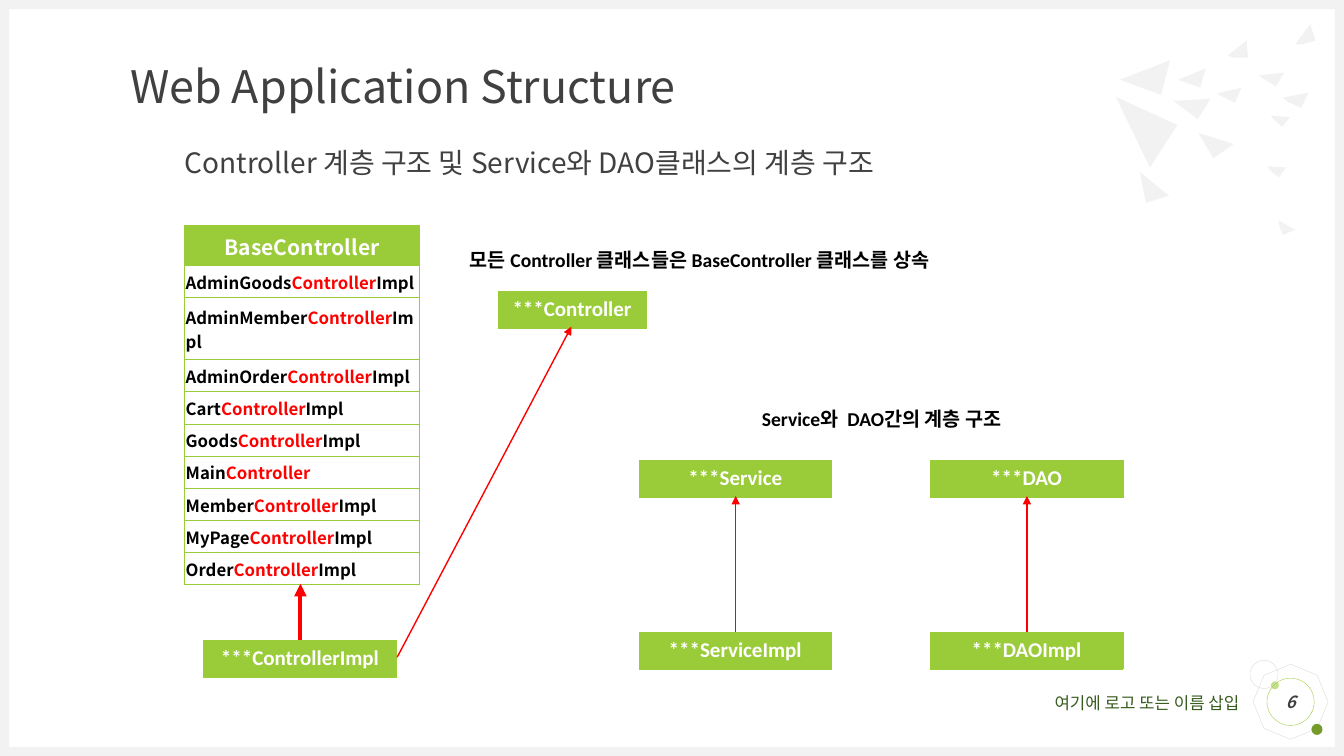
"""Build the slide on the controller, service and DAO class hierarchies."""
from dataclasses import dataclass

from lxml import etree
from pptx import Presentation
from pptx.dml.color import RGBColor
from pptx.enum.shapes import MSO_CONNECTOR, MSO_SHAPE
from pptx.enum.text import MSO_ANCHOR, MSO_AUTO_SIZE, PP_ALIGN
from pptx.oxml.ns import qn
from pptx.shapes.autoshape import Shape
from pptx.slide import Slide
from pptx.table import Table, _Cell
from pptx.text.text import Font
from pptx.util import Cm, Pt

STRAIGHT = MSO_CONNECTOR.STRAIGHT
RECTANGLE, OVAL, OCTAGON = MSO_SHAPE.RECTANGLE, MSO_SHAPE.OVAL, MSO_SHAPE.OCTAGON
TOP, MIDDLE = MSO_ANCHOR.TOP, MSO_ANCHOR.MIDDLE
LEFT, CENTER, RIGHT = PP_ALIGN.LEFT, PP_ALIGN.CENTER, PP_ALIGN.RIGHT
NO_AUTOFIT = MSO_AUTO_SIZE.NONE

COLORS = {
    "green": "9ACB39", "light_green": "C2E088", "dark_green": "749A29",
    "footer": "375C1E", "gray": "F2F2F2", "outline": "D9D9D9",
    "heading": "404040", "black": "000000", "white": "FFFFFF", "red": "FF0000",
}
SANS, LATIN = "Noto Sans CJK KR", "Calibri"
WIDTH, HEIGHT, EDGE = 33.87, 19.05, 0.23
BOX_HEIGHT = 0.93
HEADER_HEIGHT, ROW_HEIGHT, WRAPPED_HEIGHT = 0.99, 0.81, 1.57


@dataclass(frozen=True)
class Caption:
    text: str
    box: tuple[float, float, float, float]
    size: float
    color: str
    font: str = SANS
    bold: bool = False
    align: PP_ALIGN = LEFT
    anchor: MSO_ANCHOR = TOP
    spacing: float = 1.0


@dataclass(frozen=True)
class Ornament:
    kind: MSO_SHAPE
    box: tuple[float, float, float, float]
    fill: str = ""
    line: str = ""
    rotation: float = 0


@dataclass(frozen=True)
class ClassBox:
    label: str
    left: float
    top: float
    width: float = 4.86


@dataclass(frozen=True)
class Arrow:
    start: tuple[float, float]
    end: tuple[float, float]
    weight: float = 1


SUBTITLE = Caption("Controller 계층 구조 및 Service와 DAO클래스의 계층 구조",
                   (4.65, 3.56, 26.11, 1.17), 20, "heading", anchor=MIDDLE, spacing=0.9)
CAPTIONS = [
    Caption("여기에 로고 또는 이름 삽입", (24.26, 17.45, 6.98, 0.51), 12, "footer", align=RIGHT),
    Caption("모든 Controller 클래스들은 BaseController 클래스를 상속",
            (11.84, 6.25, 12.93, 0.71), 14, "black", LATIN, True),
    Caption("Service와  DAO간의 계층 구조", (19.2, 10.26, 9.45, 1.14), 14, "black", LATIN, True),
    Caption("Web Application Structure", (3.28, 1.63, 19, 1.22), 32, "heading",
            anchor=MIDDLE, spacing=0.9),
]
PAGE_NUMBER = Caption("6", (31.93, 17.09, 1.19, 1.19), 12, "heading", bold=True,
                      align=CENTER, anchor=MIDDLE)
PAGE_RING = Ornament(OVAL, PAGE_NUMBER.box, line="green")
ORNAMENTS = [
    Ornament(OCTAGON, (31.65, 16.81, 1.75, 1.75), line="outline", rotation=22.7),
    Ornament(OVAL, (32.03, 17.17, 0.2, 0.2), fill="light_green"),
    Ornament(OVAL, (33.05, 18.24, 0.28, 0.28), fill="dark_green"),
    Ornament(OVAL, (31.5, 16.64, 0.71, 0.71), line="outline"),
    Ornament(RECTANGLE, (0, HEIGHT - EDGE, WIDTH, EDGE), fill="gray"),
    Ornament(RECTANGLE, (0, 0, WIDTH, EDGE), fill="gray"),
    Ornament(RECTANGLE, (0, 0, EDGE, HEIGHT), fill="gray"),
    Ornament(RECTANGLE, (WIDTH - EDGE, 0, EDGE, HEIGHT), fill="gray"),
]
SHARDS = [
    [(29.49, 1.52), (29.26, 2.39), (28.22, 2.01)],
    [(30.51, 2.49), (30.18, 3), (29.57, 2.54)],
    [(30.38, 1.73), (30.25, 2.21), (29.69, 2.01)],
    [(31.29, 2.21), (31.12, 2.59), (30.66, 2.36)],
    [(31.42, 1.02), (31.45, 1.45), (31.09, 1.45), (30.94, 1.4)],
    [(32.51, 2.95), (32.31, 3.2), (32.11, 3.02), (32.03, 2.92)],
    [(33.02, 0.61), (33.15, 1.02), (32.82, 1.12), (32.64, 1.12)],
    [(32.36, 1.83), (32.16, 2.18), (31.72, 1.9)],
    [(32.97, 2.34), (32.79, 2.72), (32.46, 2.57), (32.33, 2.46)],
    [(29.67, 3.15), (28.98, 4.22), (28.12, 2.44)],
    [(31.09, 3.63), (30.58, 3.99), (30.2, 3.35)],
    [(32.41, 4.22), (32.23, 4.47), (32, 4.29), (31.95, 4.19)],
    [(29.46, 4.93), (28.88, 5.11), (28.73, 4.34)],
    [(32.64, 5.79), (32.33, 5.92), (32.23, 5.66), (32.23, 5.56)],
]
CONTROLLERS = [
    ("AdminGoods", "Impl"), ("AdminMember", "Impl"), ("AdminOrder", "Impl"),
    ("Cart", "Impl"), ("Goods", "Impl"), ("Main", ""), ("Member", "Impl"),
    ("MyPage", "Impl"), ("Order", "Impl"),
]
CLASS_BOXES = [
    ClassBox("***ControllerImpl", 5.13, 16.13),
    ClassBox("***Controller", 12.55, 7.34, 3.73),
    ClassBox("***ServiceImpl", 16.1, 15.93),
    ClassBox("***DAOImpl", 23.44, 15.93),
    ClassBox("***DAO", 23.44, 11.61),
    ClassBox("***Service", 16.1, 11.61),
]
ARROWS = [
    Arrow((10.01, 16.56), (14.4, 8.23)),
    Arrow((7.57, 16.13), (7.57, 14.71), 3),
    Arrow((18.54, 15.93), (18.54, 12.5)),
    Arrow((25.88, 15.93), (25.88, 12.5)),
]


def rgb(name: str) -> RGBColor:
    """Look up a named colour."""
    return RGBColor.from_string(COLORS[name])


def set_font(font: Font, name: str, size: float, color: str, bold: bool) -> None:
    """Format a font."""
    font.name, font.size, font.bold = name, Pt(size), bold
    font.color.rgb = rgb(color)


def write_caption(holder: Shape, caption: Caption) -> None:
    """Place the caption text in a shape and format it."""
    frame = holder.text_frame
    frame.text = caption.text
    frame.word_wrap, frame.auto_size = True, NO_AUTOFIT
    frame.vertical_anchor = caption.anchor
    frame.margin_left = frame.margin_right = frame.margin_top = frame.margin_bottom = 0
    paragraph = frame.paragraphs[0]
    paragraph.alignment, paragraph.line_spacing = caption.align, caption.spacing
    set_font(paragraph.font, caption.font, caption.size, caption.color, caption.bold)


def paint(shape: Shape, fill: str, line: str) -> None:
    """Give a shape its fill and outline, or none."""
    shape.shadow.inherit = False
    if fill:
        shape.fill.solid()
        shape.fill.fore_color.rgb = rgb(fill)
    else:
        shape.fill.background()
    if line:
        shape.line.color.rgb, shape.line.width = rgb(line), Pt(0.25)
    else:
        shape.line.fill.background()


def draw_ornament(slide: Slide, ornament: Ornament) -> Shape:
    """Draw a preset shape."""
    shape = slide.shapes.add_shape(ornament.kind, *map(Cm, ornament.box))
    shape.rotation = ornament.rotation
    paint(shape, ornament.fill, ornament.line)
    return shape


def draw_shard(slide: Slide, points: list[tuple[float, float]]) -> None:
    """Draw one gray shard."""
    first, *rest = [(Cm(x), Cm(y)) for x, y in points]
    builder = slide.shapes.build_freeform(*first)
    builder.add_line_segments(rest, close=True)
    paint(builder.convert_to_shape(), "gray", "")


def style_cell(cell: _Cell, fill: str) -> None:
    """Give a cell green borders and a fill."""
    properties = cell._tc.get_or_add_tcPr()
    for side in ("a:lnL", "a:lnR", "a:lnT", "a:lnB"):
        border = etree.SubElement(properties, qn(side), w=str(Pt(0.5)))
        solid = etree.SubElement(border, qn("a:solidFill"))
        etree.SubElement(solid, qn("a:srgbClr"), val=COLORS["green"])
    cell.fill.solid()
    cell.fill.fore_color.rgb = rgb(fill)


def add_column(slide: Slide, left: float, top: float, width: float, heights: list[float]) -> Table:
    """Add a table of one column."""
    table = slide.shapes.add_table(
        len(heights), 1, Cm(left), Cm(top), Cm(width), Cm(sum(heights))).table
    for row, height in zip(table.rows, heights):
        row.height = Cm(height)
    return table


def write_header(cell: _Cell, label: str, font: str) -> None:
    """Write a white label on a green cell."""
    style_cell(cell, "green")
    cell.text = label
    paragraph = cell.text_frame.paragraphs[0]
    paragraph.alignment = CENTER
    set_font(paragraph.font, font, 15, "white", True)


def draw_controllers(slide: Slide) -> None:
    """Draw the list of classes derived from BaseController."""
    heights = [HEADER_HEIGHT] + [ROW_HEIGHT] * len(CONTROLLERS)
    heights[2] = WRAPPED_HEIGHT
    table = add_column(slide, 4.65, 5.69, 5.92, heights)
    header, *members = [row.cells[0] for row in table.rows]
    write_header(header, "BaseController", SANS)
    for cell, (prefix, suffix) in zip(members, CONTROLLERS):
        style_cell(cell, "white")
        paragraph = cell.text_frame.paragraphs[0]
        for part, color in ((prefix, "black"), ("Controller", "red"), (suffix, "black")):
            if part:
                run = paragraph.add_run()
                run.text = part
                set_font(run.font, SANS, 12, color, True)
    for cell in (header, *members):
        cell.vertical_anchor = MIDDLE
        cell.margin_left = cell.margin_right = cell.margin_top = Cm(0.03)
        cell.margin_bottom = 0


def draw_arrow(slide: Slide, arrow: Arrow) -> None:
    """Draw a red inheritance arrow."""
    connector = slide.shapes.add_connector(STRAIGHT, *map(Cm, arrow.start + arrow.end))
    connector.line.color.rgb, connector.line.width = rgb("red"), Pt(arrow.weight)
    etree.SubElement(connector.line._get_or_add_ln(), qn("a:tailEnd"), type="triangle")
    etree.SubElement(connector._element.spPr, qn("a:effectLst"))


def main() -> None:
    """Build and save the slide."""
    deck = Presentation()
    deck.slide_width, deck.slide_height = Cm(WIDTH), Cm(HEIGHT)
    slide = deck.slides.add_slide(deck.slide_layouts[5])
    for ornament in ORNAMENTS:
        draw_ornament(slide, ornament)
    for points in SHARDS:
        draw_shard(slide, points)
    title = slide.shapes.title
    title.left, title.top, title.width, title.height = map(Cm, SUBTITLE.box)
    write_caption(title, SUBTITLE)
    draw_controllers(slide)
    page_ring = draw_ornament(slide, PAGE_RING)
    write_caption(page_ring, PAGE_NUMBER)
    page_ring.text_frame.paragraphs[0].font.italic = True
    for box in CLASS_BOXES:
        table = add_column(slide, box.left, box.top, box.width, [BOX_HEIGHT])
        write_header(table.cell(0, 0), box.label, LATIN)
    for arrow in ARROWS:
        draw_arrow(slide, arrow)
    for caption in CAPTIONS:
        write_caption(slide.shapes.add_textbox(*map(Cm, caption.box)), caption)
    deck.save("out.pptx")


if __name__ == "__main__":
    main()
